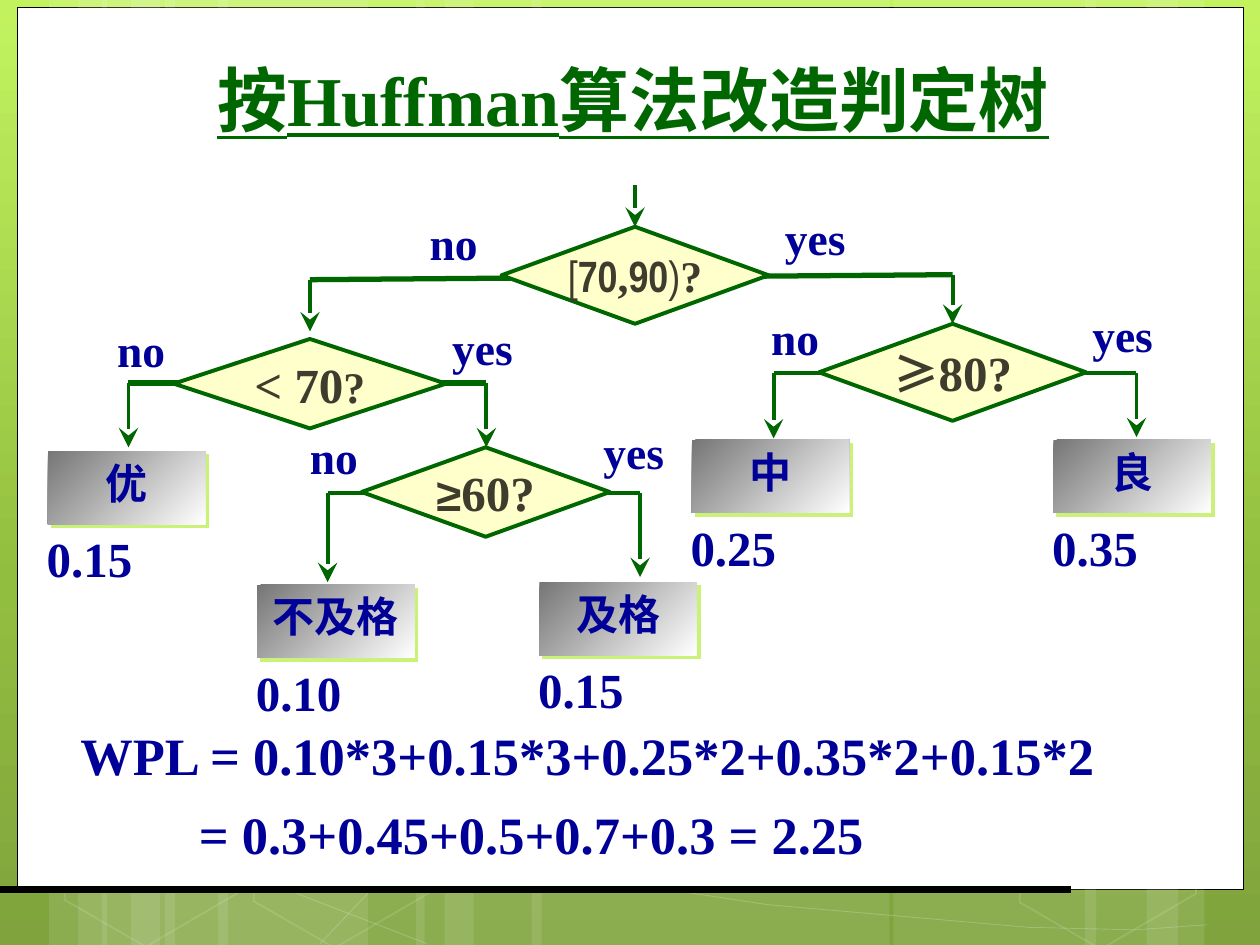
from copy import deepcopy
from dataclasses import dataclass

from lxml.etree import SubElement
from pptx import Presentation
from pptx.dml.color import RGBColor
from pptx.enum.shapes import MSO_CONNECTOR, MSO_SHAPE
from pptx.enum.text import MSO_ANCHOR, PP_ALIGN
from pptx.oxml.ns import qn
from pptx.util import Inches, Pt


@dataclass(frozen=True)
class Theme:
    """Colours, fonts and type sizes of the slide."""
    white: str = "FFFFFF"
    black: str = "000000"
    green: str = "006600"
    blue: str = "000099"
    cream: str = "FFFFCC"
    ink: str = "3E3D2D"
    lime: str = "CAF278"
    grey: str = "767676"
    backdrop: tuple = ((0, "C2F35F"), (0.62, "92BE3F"), (1, "80A33D"))
    serif: str = "Times New Roman"
    sans: str = "Arial"
    narrow: str = "Arial Narrow"
    chinese: str = "Noto Sans CJK SC"
    title: int = 40
    formula: int = 30
    value: int = 28
    answer: int = 26
    interval: int = 25
    grade: int = 24


THEME = Theme()


class TreeSlide:
    """Draws a decision tree on a grid of 100 columns by 75 rows."""

    def __init__(self, presentation, theme):
        self.theme = theme
        self.cell = presentation.slide_width / 100
        self.slide = presentation.slides.add_slide(presentation.slide_layouts[6])
        self.shapes = self.slide.shapes

    def cells(self, *lengths):
        return [round(length * self.cell) for length in lengths]

    def soften(self, element, percent):
        for color in element.iter(qn("a:srgbClr")):
            SubElement(color, qn("a:alpha"), val=str(percent * 1000))

    def backdrop(self):
        fill = self.slide.background.fill
        fill.gradient()
        fill.gradient_angle = 270
        last = list(self.slide.element.iter(qn("a:gs")))[-1]
        last.addnext(deepcopy(last))
        for stop, (position, color) in zip(fill.gradient_stops, self.theme.backdrop):
            stop.position = position
            stop.color.rgb = RGBColor.from_string(color)

    def outline(self, shape, color, width):
        shape.line.color.rgb = RGBColor.from_string(color)
        shape.line.width = Pt(width)

    def block(self, kind, box, fill=None, line=None, width=0.5):
        shape = self.shapes.add_shape(kind, *self.cells(*box))
        shape.shadow.inherit = False
        if fill:
            shape.fill.solid()
            shape.fill.fore_color.rgb = RGBColor.from_string(fill)
        else:
            shape.fill.background()
        if line:
            self.outline(shape, line, width)
        else:
            shape.line.fill.background()
        return shape

    def stripe(self, left, width):
        shape = self.block(MSO_SHAPE.RECTANGLE, (left, 0, width, 75), self.theme.white)
        self.soften(shape.element, 10)

    def hexagon(self, left, top):
        shape = self.block(MSO_SHAPE.HEXAGON, (left, top, 16.1, 15.2), None, self.theme.white, 1)
        shape.rotation = 30
        shape.adjustments[0] = 0.285
        self.soften(shape.element, 12)

    def curve(self, points):
        start, *rest = [self.cells(*point) for point in points]
        builder = self.shapes.build_freeform(*start)
        builder.add_line_segments(rest, close=False)
        shape = builder.convert_to_shape()
        shape.shadow.inherit = False
        shape.fill.background()
        self.outline(shape, self.theme.white, 0.5)
        self.soften(shape.element, 20)

    def line(self, start, end, width=2.25, color=None, arrow=False):
        connector = self.shapes.add_connector(
            MSO_CONNECTOR.STRAIGHT, *self.cells(*start, *end))
        self.outline(connector, color or self.theme.green, width)
        properties = connector.element.spPr
        if arrow:
            SubElement(properties.find(qn("a:ln")), qn("a:tailEnd"),
                       type="stealth", w="lg", len="lg")
        SubElement(properties, qn("a:effectLst"))

    def arrow(self, column, top, bottom):
        self.line((column, top), (column, bottom), arrow=True)

    def style(self, font, size, color, name=None, bold=True):
        font.size, font.bold, font.name = Pt(size), bold, name or self.theme.serif
        font.color.rgb = RGBColor.from_string(color)

    def set_text(self, shape, text, size, color, wrap=False):
        frame = shape.text_frame
        frame.word_wrap = wrap
        frame.vertical_anchor = MSO_ANCHOR.MIDDLE
        paragraph = frame.paragraphs[0]
        paragraph.text = text
        paragraph.alignment = PP_ALIGN.CENTER
        self.style(paragraph.font, size, color)
        return paragraph

    def label(self, text, box, size, color=None, wrap=False):
        shape = self.shapes.add_textbox(*self.cells(*box))
        return self.set_text(shape, text, size, color or self.theme.blue, wrap)

    def decision(self, box, runs):
        shape = self.block(MSO_SHAPE.FLOWCHART_DECISION, box,
                           self.theme.cream, self.theme.green, 2.25)
        paragraph = self.set_text(shape, "", self.theme.value, self.theme.ink)
        for text, size, name, bold in runs:
            run = paragraph.add_run()
            run.text = text
            self.style(run.font, size, self.theme.ink, name, bold)
            if name == self.theme.chinese:
                SubElement(run._r.get_or_add_rPr(), qn("a:ea"), typeface=name)

    def leaf(self, left, top, grade, value):
        shape = self.block(MSO_SHAPE.RECTANGLE, (left, top, 12.5, 5.8))
        shape.fill.gradient()
        shape.fill.gradient_angle = 315
        for stop, color in zip(shape.fill.gradient_stops, (self.theme.grey, self.theme.white)):
            stop.color.rgb = RGBColor.from_string(color)
        shadow = SubElement(shape.element.spPr.find(qn("a:effectLst")), qn("a:outerShdw"),
                            dist=str(int(Pt(2.8))), dir="2700000", algn="ctr", rotWithShape="0")
        SubElement(shadow, qn("a:srgbClr"), val=self.theme.lime)
        self.set_text(shape, grade, self.theme.grade, self.theme.blue)
        shape.text_frame.margin_top = 0
        shape.text_frame.margin_bottom = Inches(0.08)
        self.label(value, (left - 1.1, top + 5.65, 8.8, 5.7), self.theme.value)

    def formula(self, box, first, second, indent):
        paragraph = self.label(first, box, self.theme.formula, wrap=True)
        paragraph.alignment = PP_ALIGN.LEFT
        following = self.shapes[-1].text_frame.add_paragraph()
        following.text = second
        following.space_before = Pt(9)
        following._p.get_or_add_pPr().set("marL", str(self.cells(indent)[0]))
        self.style(following.font, self.theme.formula, self.theme.blue)


STRIPES = [(13.1, 16.1), (3.9, 4.6), (6.2, 7.7), (17.3, 16.4), (8.1, 4.6), (10.4, 7.7),
           (70.9, 16.1), (91, 4.6), (86.1, 7.4), (42.2, 28.4), (33, 4.6), (35.3, 7.7)]
HEXAGONS = [(4.1, 59.1), (19.1, 59.2), (79.9, 59.3)]
CURVES = [
    [(3.6, 61.7), (19.9, 69.5), (33.9, 74.9)],
    [(3.7, 57.8), (14.9, 61.6), (35.9, 67.3), (49, 70), (60.9, 71.8),
     (81.6, 73.6), (90.1, 73.8), (95.8, 73.4)],
    [(25.4, 74.9), (30.9, 69.1), (38.8, 63.9), (46.3, 60.9), (59.1, 57.8),
     (65.7, 56.9), (76.2, 56.2), (90.8, 56.2), (95.7, 56.6)]]
BRANCHES = [((24.6, 22.2), (75.6, 21.8), 3, 26.3, 25.7),
            ((10.2, 30.4), (38.6, 30.4), 3, 35.5, 35.5),
            ((61.4, 29.6), (90.2, 29.6), 2.25, 34.8, 34.7),
            ((26, 39.1), (50.8, 39.1), 2.25, 46.2, 45.8)]
DECISIONS = [
    ((39.8, 18, 21.2, 7.7), [("[", THEME.interval, THEME.narrow, False),
                             ("70", THEME.interval, THEME.narrow, True),
                             (",", THEME.interval, THEME.serif, True),
                             ("90", THEME.interval, THEME.narrow, True),
                             (")", THEME.interval, THEME.narrow, False),
                             ("?", THEME.interval, THEME.serif, True)]),
    ((13.8, 26.9, 21.6, 7.1), [("< 70", THEME.value, THEME.serif, True),
                               ("?", THEME.interval, THEME.serif, True)]),
    ((65, 25.7, 21.2, 7.7), [("≥", THEME.answer, THEME.chinese, True),
                             ("80?", THEME.value, THEME.serif, True)]),
    ((28.7, 35.5, 19.7, 7.1), [("≥", THEME.answer, THEME.sans, True),
                               ("60?", THEME.value, THEME.serif, True)])]
LEAVES = [(3.8, 35.8, "优", "0.15"), (20.4, 46.4, "不及格", "0.10"), (42.8, 46.2, "及格", "0.15"),
          (54.9, 34.9, "中", "0.25"), (83.6, 34.9, "良", "0.35")]
ANSWERS = {"no": (5.8, [(33.1, 16.6), (8.3, 25.1), (60.2, 24.1), (23.6, 33.6)]),
           "yes": (6.8, [(61.3, 16.2), (34.9, 24.9), (85.7, 23.9), (46.9, 33.2)])}


def main():
    """Build the slide and save it."""
    presentation = Presentation()
    presentation.slide_width, presentation.slide_height = Inches(10), Inches(7.5)
    tree = TreeSlide(presentation, THEME)
    tree.backdrop()
    tree.block(MSO_SHAPE.RECTANGLE, (1.4, 0.6, 97.3, 70), THEME.white, THEME.black)
    for stripe in STRIPES:
        tree.stripe(*stripe)
    for curve in CURVES:
        tree.curve(curve)
    for hexagon in HEXAGONS:
        tree.hexagon(*hexagon)
    tree.line((0, 70.6), (85, 70.6), 4.5, THEME.black)
    tree.label("按Huffman算法改造判定树", (16.2, 4, 68.1, 7.7), THEME.title,
               THEME.green, wrap=True).font.underline = True
    tree.arrow(50.4, 14.7, 18)
    for left, right, width, left_end, right_end in BRANCHES:
        tree.line(left, right, width)
        tree.arrow(*left, left_end)
        tree.arrow(*right, right_end)
    for decision in DECISIONS:
        tree.decision(*decision)
    for leaf in LEAVES:
        tree.leaf(*leaf)
    for answer, (width, places) in ANSWERS.items():
        for left, top in places:
            tree.label(answer, (left, top, width, 5.3), THEME.answer)
    tree.formula((5.4, 56.8, 86, 12.4), "WPL = 0.10*3+0.15*3+0.25*2+0.35*2+0.15*2",
                 "= 0.3+0.45+0.5+0.7+0.3 = 2.25", 9.4)
    presentation.save("out.pptx")


if __name__ == "__main__":
    main()
